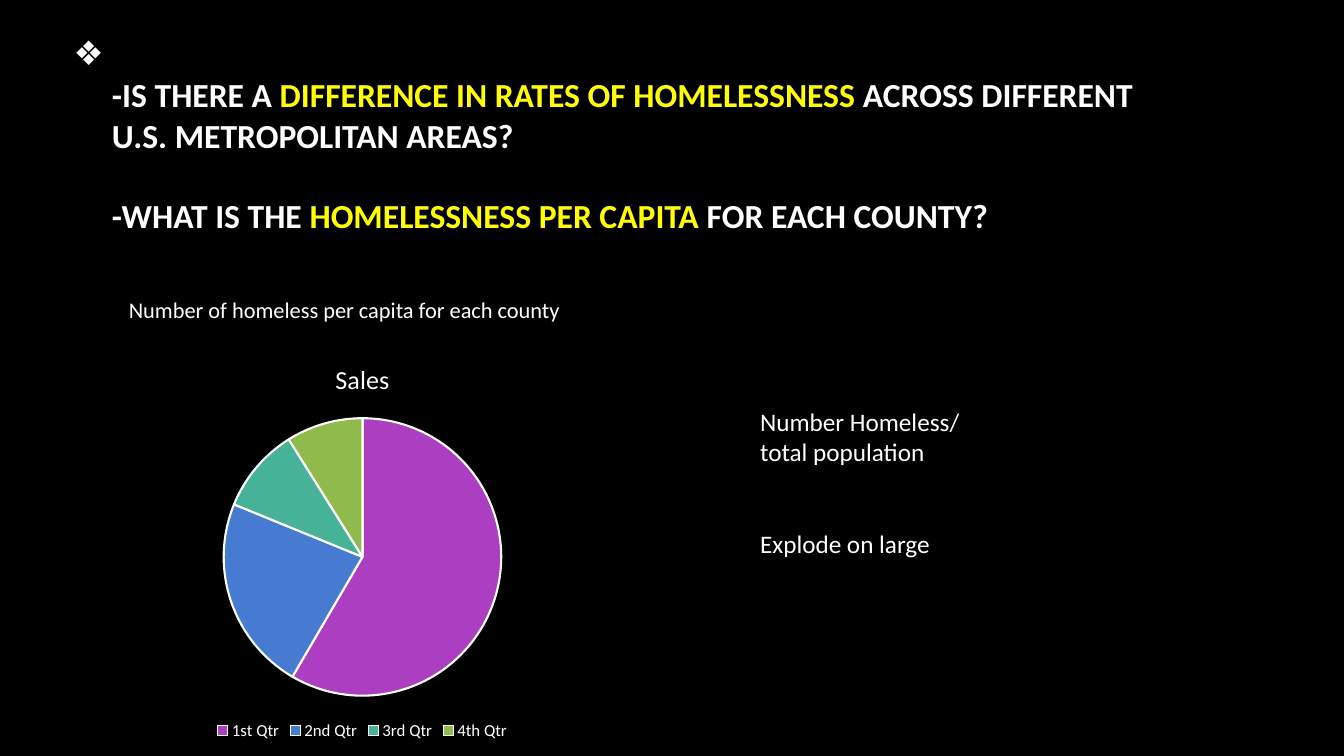
from lxml import etree
from pptx import Presentation
from pptx.chart.data import CategoryChartData
from pptx.dml.color import RGBColor
from pptx.enum.chart import XL_CHART_TYPE, XL_LEGEND_POSITION
from pptx.enum.text import MSO_ANCHOR, MSO_AUTO_SIZE
from pptx.oxml.ns import qn
from pptx.util import Inches, Pt

PIE = XL_CHART_TYPE.PIE
LEGEND_BOTTOM = XL_LEGEND_POSITION.BOTTOM
MIDDLE = MSO_ANCHOR.MIDDLE
NO_AUTOFIT = MSO_AUTO_SIZE.NONE
TITLE_ONLY = 5

FONT = "Calibri"
BLACK, WHITE, YELLOW = "000000", "FFFFFF", "FFFF00"

QUESTIONS = [
    ("\n-IS THERE A ", WHITE),
    ("DIFFERENCE IN RATES OF HOMELESSNESS ", YELLOW),
    ("ACROSS DIFFERENT U.S. METROPOLITAN AREAS? \n\n-WHAT IS THE ", WHITE),
    ("HOMELESSNESS PER CAPITA ", YELLOW),
    ("FOR EACH COUNTY? \n", WHITE),
]
QUARTERS = [
    ("1st Qtr", 59, "AC3EC1"),
    ("2nd Qtr", 23, "477BD1"),
    ("3rd Qtr", 10, "46B298"),
    ("4th Qtr", 9, "90BA4C"),
]


def color(value):
    return RGBColor.from_string(value)


def format_font(font, size, fill=WHITE, bold=False):
    values = {"name": FONT, "size": Pt(size), "bold": bold}
    for name, value in values.items():
        setattr(font, name, value)
    font.color.rgb = color(fill)


def set_bulleted_style(frame, size, indent, bullet):
    """Give every line of the frame, empty ones too, one size and a hanging bullet."""
    style = frame._txBody.find(qn("a:lstStyle"))
    level = etree.SubElement(style, qn("a:lvl1pPr"), marL=str(indent),
                             indent=str(-indent), algn="l")
    bullet_color = etree.SubElement(level, qn("a:buClr"))
    etree.SubElement(bullet_color, qn("a:srgbClr"), val=WHITE)
    etree.SubElement(level, qn("a:buFont"), typeface=FONT)
    etree.SubElement(level, qn("a:buChar"), char=bullet)
    font = etree.SubElement(level, qn("a:defRPr"), sz=str(size * 100), b="1")
    etree.SubElement(font, qn("a:latin"), typeface=FONT)


def write_title(title, left, top, width, height, spans, size=24):
    place = {"left": left, "top": top, "width": width, "height": height}
    for name, value in place.items():
        setattr(title, name, Inches(value))
    frame = title.text_frame
    layout = {"word_wrap": True, "auto_size": NO_AUTOFIT, "vertical_anchor": MIDDLE}
    for name, value in layout.items():
        setattr(frame, name, value)
    set_bulleted_style(frame, size, Inches(0.38), "❖")
    para = frame.paragraphs[0]
    for text, fill in spans:
        for number, line in enumerate(text.split("\n")):
            if number:
                para.add_line_break()
            if line:
                span = para.add_run()
                span.text = line
                format_font(span.font, size, fill, bold=True)


def add_text(slide, left, top, width, height, lines, size, gap=0):
    box = slide.shapes.add_textbox(Inches(left), Inches(top), Inches(width), Inches(height))
    frame = box.text_frame
    frame.word_wrap = True
    for number, line in enumerate(lines):
        para = frame.add_paragraph() if number else frame.paragraphs[0]
        para.space_before = Pt(gap if number else 0)
        span = para.add_run()
        span.text = line
        format_font(span.font, size)


def add_pie(slide, left, top, width, height, name, slices):
    data = CategoryChartData()
    data.categories = [label for label, _, _ in slices]
    data.add_series(name, [value for _, value, _ in slices])
    chart = slide.shapes.add_chart(PIE, Inches(left), Inches(top), Inches(width),
                                   Inches(height), data).chart
    format_font(chart.font, 10)

    chart.has_title = True
    heading = chart.chart_title
    heading.include_in_layout = False
    heading.text_frame.text = name
    format_font(heading.text_frame.paragraphs[0].runs[0].font, 18.6)

    chart.has_legend = True
    chart.legend.position = LEGEND_BOTTOM
    chart.legend.include_in_layout = False
    format_font(chart.legend.font, 12)

    series = chart.plots[0].series[0]
    for number, (_, _, fill) in enumerate(slices):
        shape = series.points[number].format
        shape.fill.solid()
        shape.fill.fore_color.rgb = color(fill)
        shape.line.color.rgb = color(WHITE)
        shape.line.width = Pt(1.5)


def main():
    deck = Presentation()
    deck.slide_width, deck.slide_height = Inches(13.33), Inches(7.5)
    slide = deck.slides.add_slide(deck.slide_layouts[TITLE_ONLY])
    slide.background.fill.solid()
    slide.background.fill.fore_color.rgb = color(BLACK)

    write_title(slide.shapes.title, 0.63, 0.74, 11.08, 1.59, QUESTIONS)
    add_pie(slide, 0.75, 3.4, 5.69, 3.99, "Sales", QUARTERS)
    add_text(slide, 1.18, 2.89, 4.83, 0.37,
             ["Number of homeless per capita for each county"], 16)
    add_text(slide, 7.44, 3.98, 2.55, 1.62,
             ["Number Homeless/ total population", "Explode on large"], 18, gap=44)
    deck.save("out.pptx")


if __name__ == "__main__":
    main()
